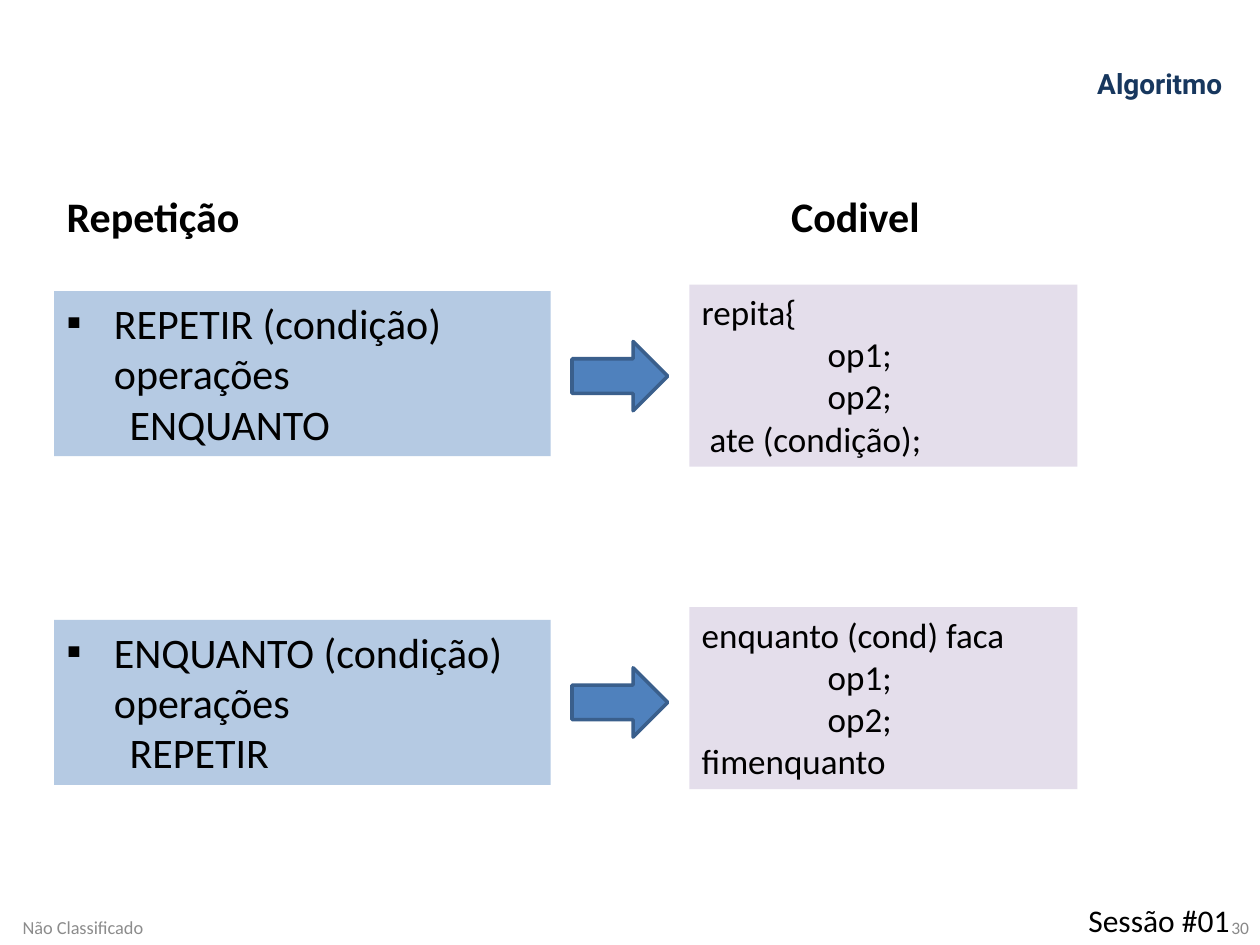
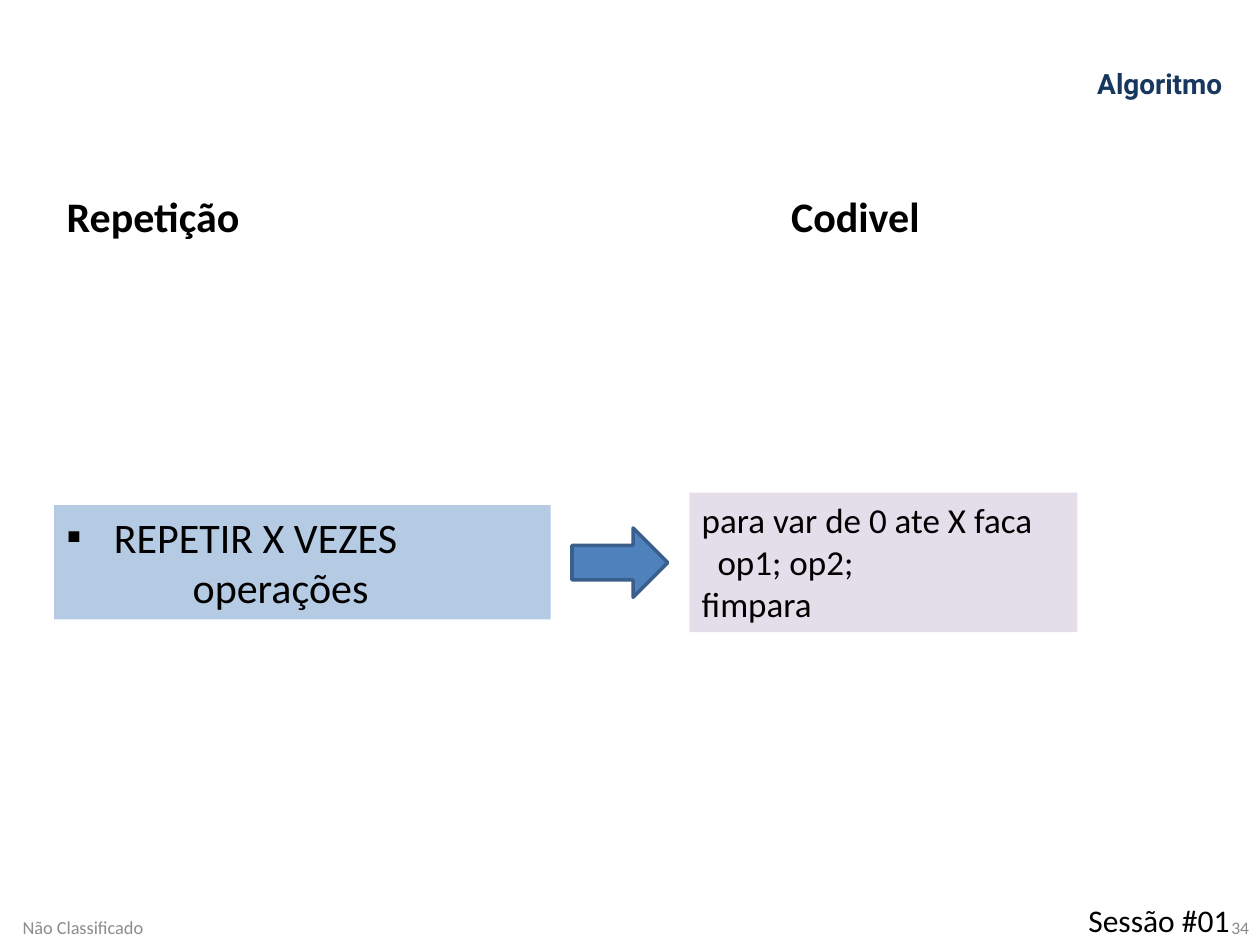
from lxml import etree
from pptx import Presentation
from pptx.dml.color import RGBColor
from pptx.enum import shapes, text
from pptx.oxml.ns import qn
from pptx.util import Pt

BLUE, LILAC, EDGE = "4F81BD", "CCC1DA", "3A5F8C"
NAVY, BLACK, GRAY, PALE = "17375E", "000000", "898989", "8C8C8C"
FONT, HEAD = "Calibri", "Roboto"
LEFT, RIGHT = text.PP_ALIGN.LEFT, text.PP_ALIGN.RIGHT
TOP, MID = text.MSO_ANCHOR.TOP, text.MSO_ANCHOR.MIDDLE
HANG, TAB = 27, 72
OPS, CODE, ARROW = (31, 283.7), (393.9, 221.8), (326.9, 54.7)  # left, width

# Each row: tops of the three parts, steps and code as (line, indent)
PAGES = [
    ("30", [
        ((166.3, 162.7, 195.1),
         [("REPETIR (condição)\voperações", HANG), ("ENQUANTO", 36)],
         [("repita{", 0), ("op1;", TAB), ("op2;", TAB), ("ate (condição);", 4.5)]),
        ((354.2, 347, 381.6),
         [("ENQUANTO (condição)\voperações", HANG), ("REPETIR", 36)],
         [("enquanto (cond) faca", 0), ("op1;", TAB), ("op2;", TAB), ("fimenquanto", 0)]),
    ]),
    ("34", [
        ((288.7, 281.5, 301.7),
         [("REPETIR X VEZES", HANG), ("operações", TAB)],
         [("para var de 0 ate X faca", 0), ("op1; op2;", 9), ("fimpara", 0)]),
    ]),
]


def rgb(code):
    return RGBColor.from_string(code)


def write(par, words, size, color=BLACK, bold=False, font=FONT, align=LEFT):
    par.alignment = align
    for i, part in enumerate(words.split("\v")):
        if i:
            par.add_line_break()
        run = par.add_run()
        run.text = part
        run.font.name, run.font.size, run.font.bold = font, Pt(size), bold
        run.font.color.rgb = rgb(color)


def label(slide, box, words, size, anchor=TOP, wrap=True, **style):
    frame = slide.shapes.add_textbox(*map(Pt, box)).text_frame
    frame.word_wrap, frame.vertical_anchor = wrap, anchor
    write(frame.paragraphs[0], words, size, **style)


def shape(slide, kind, box, color):
    item = slide.shapes.add_shape(kind, *map(Pt, box))
    item.shadow.inherit = False
    item.fill.solid()
    item.fill.fore_color.rgb = rgb(color)
    return item


def indent(par, left, bullet):
    props = par._p.get_or_add_pPr()
    props.set("marL", str(Pt(left)))
    props.set("indent", str(Pt(-left if bullet else 0)))
    if bullet:
        etree.SubElement(props, qn("a:buFont")).set("typeface", FONT)
        etree.SubElement(props, qn("a:buChar")).set("char", "▪")


def panel(slide, span, top, lines, size, color, alpha, bullet=False):
    """Tinted box as tall as its lines, the first with a bullet if asked."""
    count = sum(words.count("\v") + 1 for words, _ in lines)
    item = shape(slide, shapes.MSO_SHAPE.RECTANGLE,
                 (span[0], top, span[1], 7.2 + 1.21 * size * count), color)
    item.line.fill.background()
    tint = item.fill._xPr.find(".//" + qn("a:srgbClr"))
    etree.SubElement(tint, qn("a:alpha")).set("val", str(alpha * 1000))
    frame = item.text_frame
    frame.word_wrap, frame.vertical_anchor = True, TOP
    for i, (words, left) in enumerate(lines):
        par = frame.add_paragraph() if i else frame.paragraphs[0]
        write(par, words, size)
        indent(par, left, bullet and i == 0)


def row(slide, tops, steps, code):
    panel(slide, OPS, tops[0], steps, 24, BLUE, 42, bullet=True)
    panel(slide, CODE, tops[1], code, 20, LILAC, 52)
    arrow = shape(slide, shapes.MSO_SHAPE.RIGHT_ARROW,
                  (ARROW[0], tops[2], ARROW[1], 39.6), BLUE)
    arrow.line.color.rgb, arrow.line.width = rgb(EDGE), Pt(2)


def header(slide):
    title = slide.shapes.title
    title.left, title.top, title.width, title.height = map(Pt, (87.8, 34.6, 617.8, 54))
    title.text_frame.vertical_anchor = TOP
    write(title.text_frame.paragraphs[0], "Algoritmo", 16, NAVY, True, HEAD, RIGHT)
    label(slide, (31, 105.1, 114.5, 36), "Repetição", 24, wrap=False, bold=True)
    label(slide, (445, 105.1, 90.7, 36), "Codivel", 24, bold=True)


def footer(slide, number):
    label(slide, (553, 515.5, 167.8, 28.8), number, 10, MID, color=GRAY, align=RIGHT)
    label(slide, (5.8, 515.5, 308.9, 28.8), "Não Classificado", 10.5, MID, color=PALE)
    label(slide, (614.9, 511.2, 95.8, 28.8), "Sessão #01", 18, wrap=False)


def main():
    deck = Presentation()
    deck.slide_width, deck.slide_height = Pt(720), Pt(540)
    for number, rows in PAGES:
        slide = deck.slides.add_slide(deck.slide_layouts[5])
        footer(slide, number)
        header(slide)
        for parts in rows:
            row(slide, *parts)
    deck.save("out.pptx")


if __name__ == "__main__":
    main()
